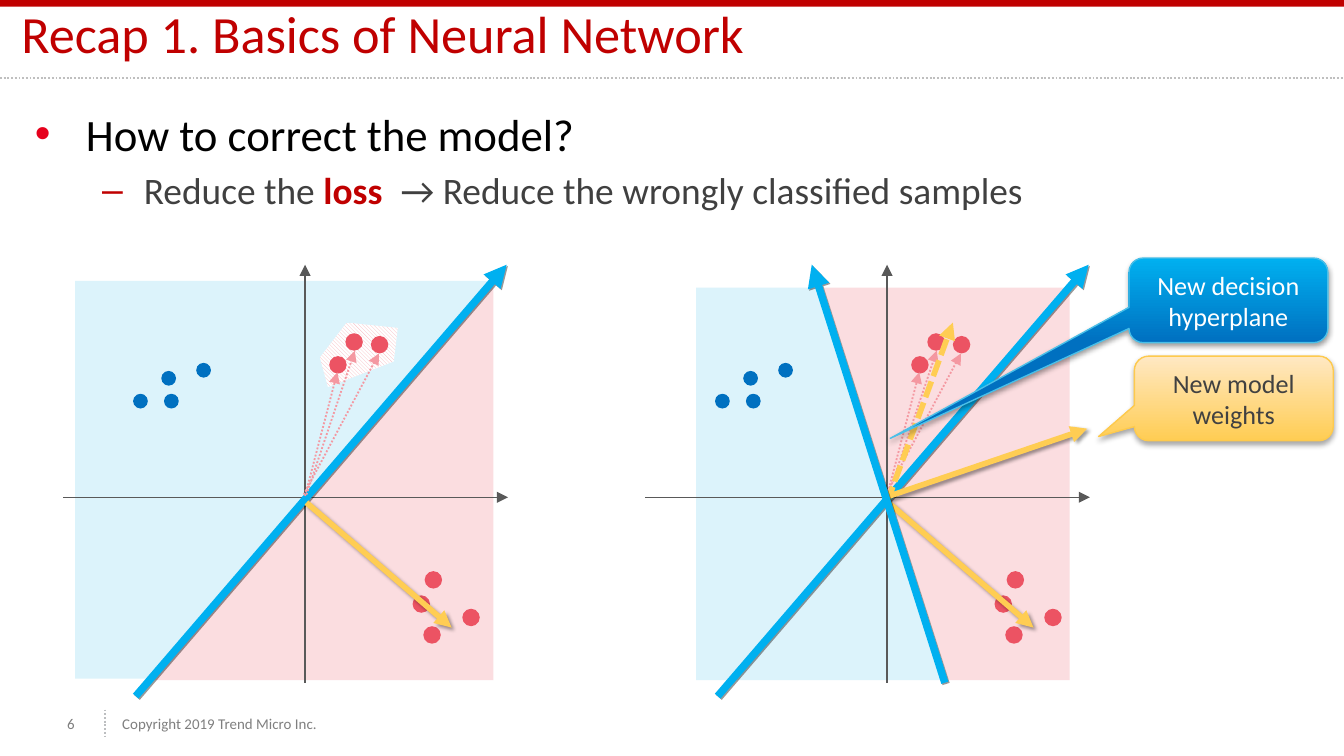
from dataclasses import dataclass
from typing import NamedTuple, Optional

from lxml.etree import SubElement
from pptx import Presentation
from pptx.dml.color import RGBColor as Rgb
from pptx.enum.dml import MSO_LINE as Dash, MSO_PATTERN as Pattern
from pptx.enum.shapes import MSO_CONNECTOR as Link, MSO_SHAPE as Kind
from pptx.enum.text import MSO_ANCHOR as Anchor, MSO_AUTO_SIZE as Fit, PP_ALIGN as Align
from pptx.oxml.ns import qn
from pptx.util import Inches, Pt


@dataclass(frozen=True)
class Theme:
    font: str = "Calibri"
    red: str = "C00000"
    mark: str = "E6001C"
    black: str = "000000"
    white: str = "FFFFFF"
    dark: str = "404040"
    ink: str = "414141"
    gray: str = "7F7F7F"
    rule: str = "BFBFBF"
    split: str = "BCBEC0"
    axis: str = "595959"
    sky: str = "DCF3FB"
    pink: str = "FBDDE0"
    hatch: str = "F7BAC1"
    rose: str = "EC5363"
    ray: str = "F498A1"
    navy: str = "0070C0"
    blue: str = "00B0F0"
    edge: str = "49BFE8"
    gold: str = "FFCD53"
    rim: str = "FECA4D"
    cream: str = "FFE8C3"
    title: int = 28
    lead: int = 24
    sub: int = 20
    label: int = 14
    foot: int = 8


class Shade(NamedTuple):
    alpha: int
    blur: float
    dist: float
    angle: int


class Pen(NamedTuple):
    color: str
    width: float
    dash: Optional[Dash] = None
    arrow: bool = True
    shade: Optional[Shade] = None


class Callout(NamedTuple):
    text: str
    left: float
    top: float
    tip: tuple
    low: str
    high: str
    edge: str
    ink: str
    shade: Shade


T = Theme()
RULE = Pen(T.rule, 1, Dash.ROUND_DOT, arrow=False)
SPLIT = RULE._replace(color=T.split)
AXIS = Pen(T.axis, 0.75)
PLANE = Pen(T.blue, 4, shade=Shade(40, 0, 1, 45))
WEIGHT = Pen(T.gold, 3, shade=Shade(40, 2, 2, 45))
OLD = Pen(T.gold, 3, Dash.SQUARE_DOT)
RAY = Pen(T.ray, 1, Dash.ROUND_DOT)

STEP = 4.33  # distance between the two plots
ROSE = [(3.07, 4.43), (3.15, 4.66), (3.44, 4.53), (3.16, 4.25),
        (2.57, 2.48), (2.45, 2.65), (2.76, 2.5)]
NAVY = [(1.2, 2.76), (1.22, 2.93), (1.46, 2.7), (0.99, 2.93)]
RAYS = [(2.27, 3.69, 2.51, 2.77), (2.28, 3.68, 2.64, 2.61), (2.26, 3.68, 2.82, 2.63)]
CALLOUTS = [
    Callout("New model weights", 8.44, 2.65, (-0.68, 0.45), T.gold, T.cream,
            T.rim, T.ink, Shade(35, 3.1, 1.8, 90)),
    Callout("New decision hyperplane", 8.4, 1.92, (-1.7, 1.63), T.navy, T.blue,
            T.edge, T.white, Shade(38, 3.1, 1.6, 90)),
]


def rgb(color: str) -> Rgb:
    return Rgb.from_string(color)


def place(shape, left: float, top: float, width: float, height: float) -> None:
    shape.left, shape.top = Inches(left), Inches(top)
    shape.width, shape.height = Inches(width), Inches(height)


def write(para, text: str, *, size: int, color: str, bold: bool = False) -> None:
    run = para.add_run()
    run.text = text
    font = run.font
    font.name, font.size, font.bold = T.font, Pt(size), bold
    font.color.rgb = rgb(color)


def cast(props, shade: Optional[Shade]) -> None:
    """Set the shadow of a shape's properties, or clear it."""
    effects = props.find(qn("a:effectLst"))
    if effects is None:
        effects = SubElement(props, qn("a:effectLst"))
    if shade:
        outer = SubElement(effects, qn("a:outerShdw"), blurRad=str(Pt(shade.blur)),
                           dist=str(Pt(shade.dist)), dir=str(shade.angle * 60000),
                           rotWithShape="0")
        color = SubElement(outer, qn("a:srgbClr"), val=T.black)
        SubElement(color, qn("a:alpha"), val=str(shade.alpha * 1000))


def line(shapes, pen: Pen, x1: float, y1: float, x2: float, y2: float) -> None:
    link = shapes.add_connector(Link.STRAIGHT, *map(Inches, (x1, y1, x2, y2)))
    link.line.color.rgb = rgb(pen.color)
    link.line.width = Pt(pen.width)
    if pen.dash:
        link.line.dash_style = pen.dash
    props = link._element.spPr
    if pen.arrow:
        SubElement(props.find(qn("a:ln")), qn("a:tailEnd"), type="triangle")
    cast(props, pen.shade)


def solid(shapes, kind: Kind, color: str, *box: float) -> None:
    shape = shapes.add_shape(kind, *map(Inches, box))
    shape.shadow.inherit = False
    shape.fill.solid()
    shape.fill.fore_color.rgb = rgb(color)
    shape.line.fill.background()


def area(shapes, points: list, color: str, hatch: bool = False) -> None:
    spots = [(Inches(x), Inches(y)) for x, y in points]
    pen = shapes.build_freeform(*spots[0])
    pen.add_line_segments(spots[1:], close=True)
    shape = pen.convert_to_shape()
    shape.shadow.inherit = False
    shape.line.fill.background()
    if hatch:
        shape.fill.patterned()
        shape.fill.pattern = Pattern.LIGHT_DOWNWARD_DIAGONAL
        shape.fill.back_color.rgb = rgb(T.white)
    else:
        shape.fill.solid()
    shape.fill.fore_color.rgb = rgb(color)


def plot(shapes, dx: float) -> None:
    """Draw the axes, samples, rays and first model, moved right by dx."""
    line(shapes, AXIS, 0.47 + dx, 3.7, 3.78 + dx, 3.7)
    line(shapes, AXIS, 2.27 + dx, 5.08, 2.27 + dx, 1.97)
    for spots, size, color in ((ROSE, 0.13, T.rose), (NAVY, 0.11, T.navy)):
        for x, y in spots:
            solid(shapes, Kind.OVAL, color, x + dx, y, size, size)
    line(shapes, PLANE, 1.01 + dx, 5.18, 3.77 + dx, 1.97)
    for x1, y1, x2, y2 in RAYS:
        line(shapes, RAY, x1 + dx, y1, x2 + dx, y2)
    line(shapes, WEIGHT, 2.28 + dx, 3.74, 3.36 + dx, 4.67)


def balloon(shapes, item: Callout) -> None:
    shape = shapes.add_shape(Kind.ROUNDED_RECTANGULAR_CALLOUT,
                             *map(Inches, (item.left, item.top, 1.48, 0.63)))
    for i, value in enumerate((*item.tip, 0.17)):
        shape.adjustments[i] = value
    shape.shadow.inherit = False
    shape.fill.gradient()
    shape.fill.gradient_angle = 90
    for stop, color in zip(shape.fill.gradient_stops, (item.low, item.high)):
        stop.color.rgb = rgb(color)
    shape.line.color.rgb = rgb(item.edge)
    shape.line.width = Pt(0.75)
    cast(shape._element.spPr, item.shade)
    frame = shape.text_frame
    frame.word_wrap, frame.vertical_anchor = True, Anchor.MIDDLE
    para = frame.paragraphs[0]
    para.alignment = Align.CENTER
    write(para, item.text, size=T.label, color=item.ink)


def bullet(para, sign: str, color: str, left: float, hang: float, tab: float = 0) -> None:
    props = para._p.get_or_add_pPr()
    props.set("marL", str(Inches(left)))
    props.set("indent", str(-Inches(hang)))
    SubElement(SubElement(props, qn("a:buClr")), qn("a:srgbClr"), val=color)
    SubElement(props, qn("a:buChar"), char=sign)
    if tab:
        tabs = SubElement(props, qn("a:tabLst"))
        SubElement(tabs, qn("a:tab"), pos=str(Inches(tab)), algn="l")


def head(slide) -> None:
    title = slide.shapes.title
    place(title, 0.16, 0.03, 9.62, 0.55)
    frame = title.text_frame
    frame.auto_size, frame.vertical_anchor = Fit.NONE, Anchor.BOTTOM
    frame.margin_left = frame.margin_top = frame.margin_right = 0
    frame.margin_bottom = Inches(0.1)
    para = frame.paragraphs[0]
    para.alignment = Align.LEFT
    write(para, "Recap 1. Basics of Neural Network", size=T.title, color=T.red)


def body(slide) -> None:
    holder = slide.placeholders[1]
    place(holder, 0.16, 0.74, 9.62, 4.33)
    frame = holder.text_frame
    frame.auto_size = Fit.NONE
    lead, sub = frame.paragraphs[0], frame.add_paragraph()
    bullet(lead, "•", T.mark, 0.38, 0.38)
    lead.space_before = Pt(0)
    write(lead, "How to correct the model?", size=T.lead, color=T.black)
    sub.level = 1
    bullet(sub, "–", T.red, 0.81, 0.31, tab=2.72)
    sub.space_before = Pt(4)
    write(sub, "Reduce the ", size=T.sub, color=T.dark)
    write(sub, "loss\t", size=T.sub, color=T.red, bold=True)
    write(sub, "→ Reduce the wrongly classified samples", size=T.sub, color=T.dark)


def foot(shapes, text: str, left: float, width: float) -> None:
    frame = shapes.add_textbox(*map(Inches, (left, 5.23, width, 0.31))).text_frame
    frame.word_wrap, frame.vertical_anchor = False, Anchor.MIDDLE
    frame.margin_left = frame.margin_top = frame.margin_right = frame.margin_bottom = 0
    write(frame.paragraphs[0], text, size=T.foot, color=T.gray)


def main() -> None:
    deck = Presentation()
    deck.slide_width, deck.slide_height = Inches(10), Inches(10 * 9 / 16)
    slide = deck.slides.add_slide(deck.slide_layouts[1])
    shapes = slide.shapes
    head(slide)
    body(slide)
    solid(shapes, Kind.RECTANGLE, T.red, 0, 0, 10, 0.05)
    line(shapes, RULE, 0, 0.58, 10, 0.58)
    line(shapes, SPLIT, 0.78, 5.28, 0.78, 5.48)
    foot(shapes, "6", 0.5, 0.25)
    foot(shapes, "Copyright 2019 Trend Micro Inc.", 0.91, 1.67)

    area(shapes, [(1.12, 5.05), (0.56, 5.05), (0.56, 2.09), (3.67, 2.09)], T.sky)
    area(shapes, [(3.67, 2.12), (3.67, 5.06), (1.12, 5.06)], T.pink)
    area(shapes, [(2.38, 2.66), (2.58, 2.4), (2.96, 2.44), (2.93, 2.69), (2.44, 2.88)],
         T.hatch, hatch=True)
    plot(shapes, 0)

    area(shapes, [(7, 5.06), (5.18, 5.06), (5.18, 2.14), (6.08, 2.14)], T.sky)
    area(shapes, [(6.13, 2.14), (7.96, 2.14), (7.96, 5.06), (7.06, 5.06)], T.pink)
    plot(shapes, STEP)
    line(shapes, OLD, 6.6, 3.74, 7.09, 2.4)
    line(shapes, WEIGHT, 6.59, 3.7, 8.09, 3.19)
    line(shapes, PLANE, 7.03, 5.08, 6.04, 1.97)
    for item in CALLOUTS:
        balloon(shapes, item)
    deck.save("out.pptx")


if __name__ == "__main__":
    main()
